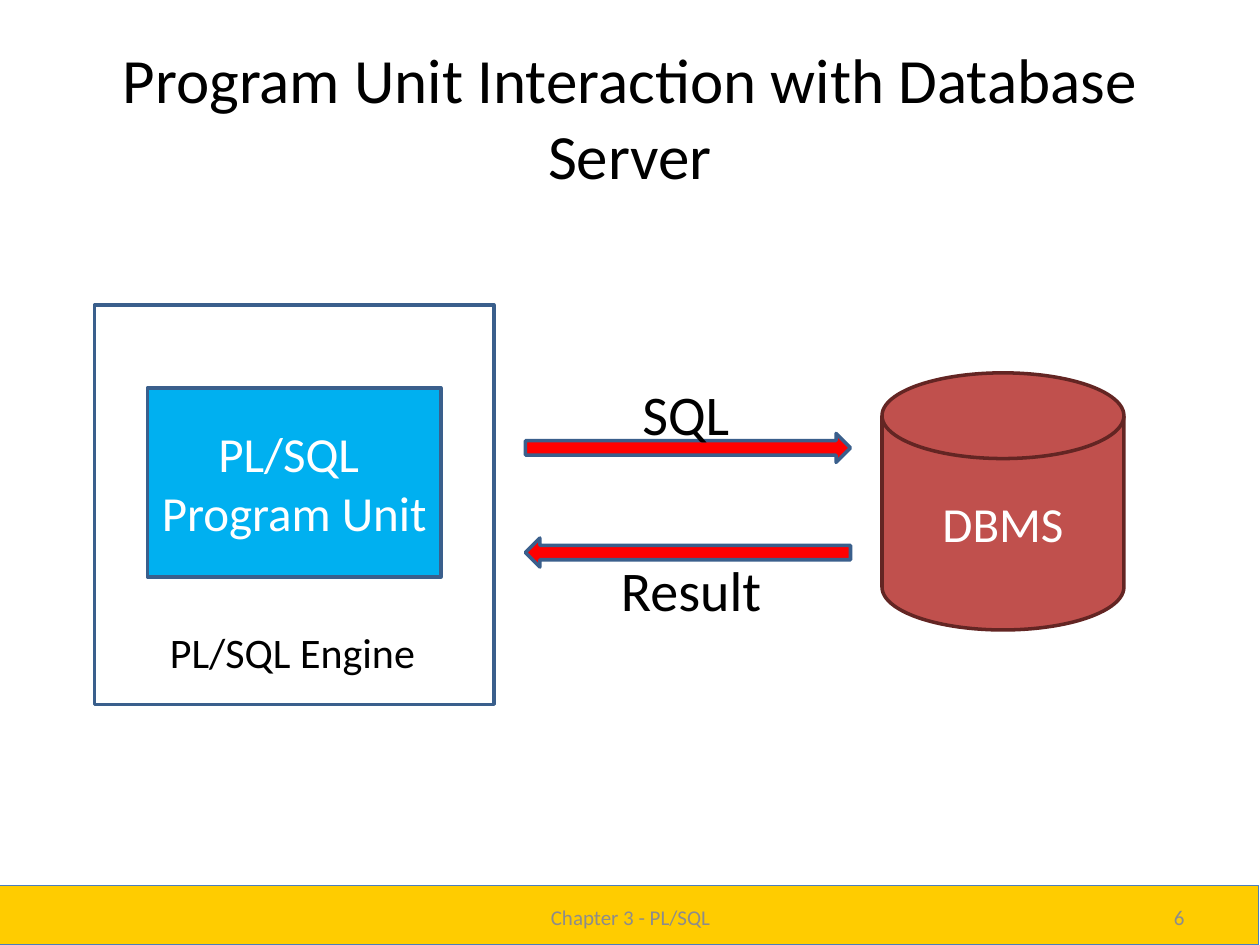
from dataclasses import dataclass

import pptx
import pptx.util
from pptx.dml.color import RGBColor
from pptx.enum.shapes import MSO_SHAPE
from pptx.enum.text import MSO_ANCHOR, PP_ALIGN
from pptx.util import Inches


@dataclass(frozen=True)
class Theme:
    font: str = "Calibri"
    black: str = "000000"
    white: str = "FFFFFF"
    gray: str = "8C8C8C"
    outline: str = "3A5F8C"
    band: str = "FFCC00"
    band_line: str = "4B7EBC"
    unit: str = "00B0F0"
    disk: str = "C0504D"
    disk_line: str = "632523"
    arrow: str = "FF0000"
    title_size: int = 36
    flow_size: int = 32
    shape_size: int = 28
    label_size: int = 24
    footer_size: int = 12


THEME = Theme()


def color(value):
    return RGBColor.from_string(value)


def set_text(shape, text, size, text_color, align, anchor):
    tf = shape.text_frame
    tf.word_wrap = True
    tf.vertical_anchor = anchor
    tf.text = text
    for p in tf.paragraphs:
        p.alignment = align
        for r in p.runs:
            r.font.name = THEME.font
            r.font.size = pptx.util.Pt(size)
            r.font.color.rgb = color(text_color)


def add_box(s, kind, at, fill, line, width=2, text=None):
    sp = s.shapes.add_shape(kind, *map(Inches, at))
    sp.shadow.inherit = False
    if fill:
        sp.fill.solid()
        sp.fill.fore_color.rgb = color(fill)
    else:
        sp.fill.background()
    sp.line.color.rgb = color(line)
    sp.line.width = pptx.util.Pt(width)
    if text:
        set_text(sp, text, THEME.shape_size, THEME.white,
                 PP_ALIGN.CENTER, MSO_ANCHOR.MIDDLE)
    return sp


def add_label(s, text, at, size, text_color=THEME.black,
              align=PP_ALIGN.LEFT, anchor=MSO_ANCHOR.TOP):
    sp = s.shapes.add_textbox(*map(Inches, at))
    set_text(sp, text, size, text_color, align, anchor)


def add_arrow(s, top, rotation=0):
    sp = add_box(s, MSO_SHAPE.RIGHT_ARROW, (4.17, top, 2.58, 0.23),
                 THEME.arrow, THEME.outline)
    sp.rotation = rotation


def add_title(s, text):
    sp = s.shapes.title
    sp.left, sp.top, sp.width, sp.height = map(Inches, (0.5, 0.3, 9, 1.25))
    set_text(sp, text, THEME.title_size, THEME.black,
             PP_ALIGN.CENTER, MSO_ANCHOR.MIDDLE)


def add_footer(s, text, number):
    add_box(s, MSO_SHAPE.RECTANGLE, (-0.01, 7.03, 10, 0.47),
            THEME.band, THEME.band_line, width=0.75)
    for words, left, width, align in (
        (text, 3.42, 3.17, PP_ALIGN.CENTER),
        (number, 7.17, 2.33, PP_ALIGN.RIGHT),
    ):
        add_label(s, words, (left, 7.08, width, 0.4), THEME.footer_size,
                  THEME.gray, align, MSO_ANCHOR.MIDDLE)


def main():
    prs = pptx.Presentation()
    prs.slide_width, prs.slide_height = Inches(10), Inches(7.5)
    s = prs.slides.add_slide(prs.slide_layouts[5])

    # Title and footer band
    add_footer(s, "Chapter 3 - PL/SQL", "6")
    add_title(s, "Program Unit Interaction with Database Server")

    # Engine with its program unit
    add_box(s, MSO_SHAPE.RECTANGLE, (0.75, 2.42, 3.17, 3.17),
            None, THEME.outline)
    add_label(s, "PL/SQL Engine", (1.25, 4.92, 2.17, 0.5), THEME.label_size)
    add_box(s, MSO_SHAPE.RECTANGLE, (1.17, 3.08, 2.33, 1.5),
            THEME.unit, THEME.outline, text="PL/SQL \nProgram Unit")

    # Database server
    add_box(s, MSO_SHAPE.FLOWCHART_MAGNETIC_DISK, (7, 2.96, 1.92, 2.04),
            THEME.disk, THEME.disk_line, text="DBMS")

    # Request and response
    add_arrow(s, 3.44)
    add_label(s, "SQL", (5, 2.96, 1, 0.64), THEME.flow_size)
    add_arrow(s, 4.27, rotation=180)
    add_label(s, "Result", (4.83, 4.36, 1.42, 0.64), THEME.flow_size)

    prs.save("out.pptx")


if __name__ == "__main__":
    main()
